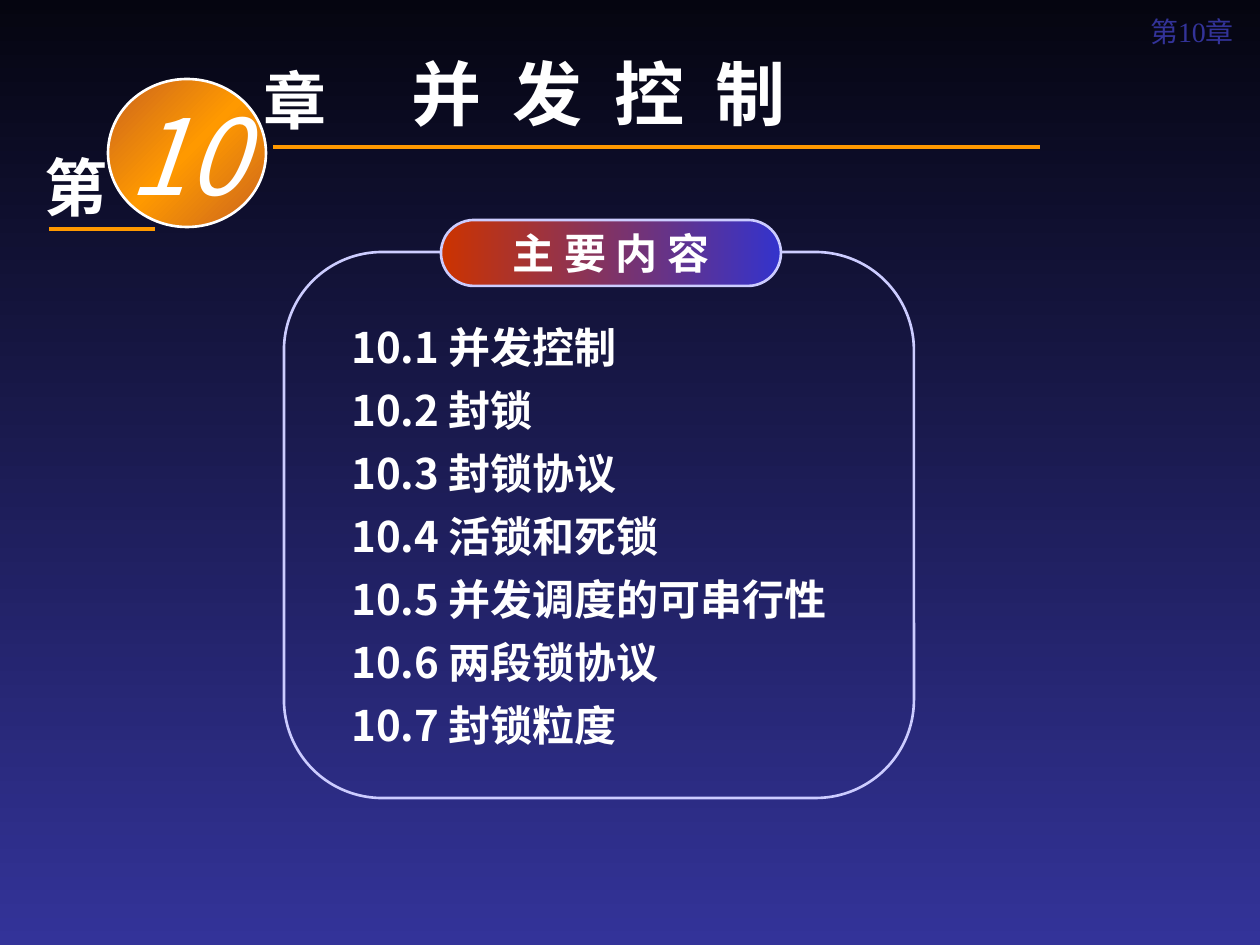
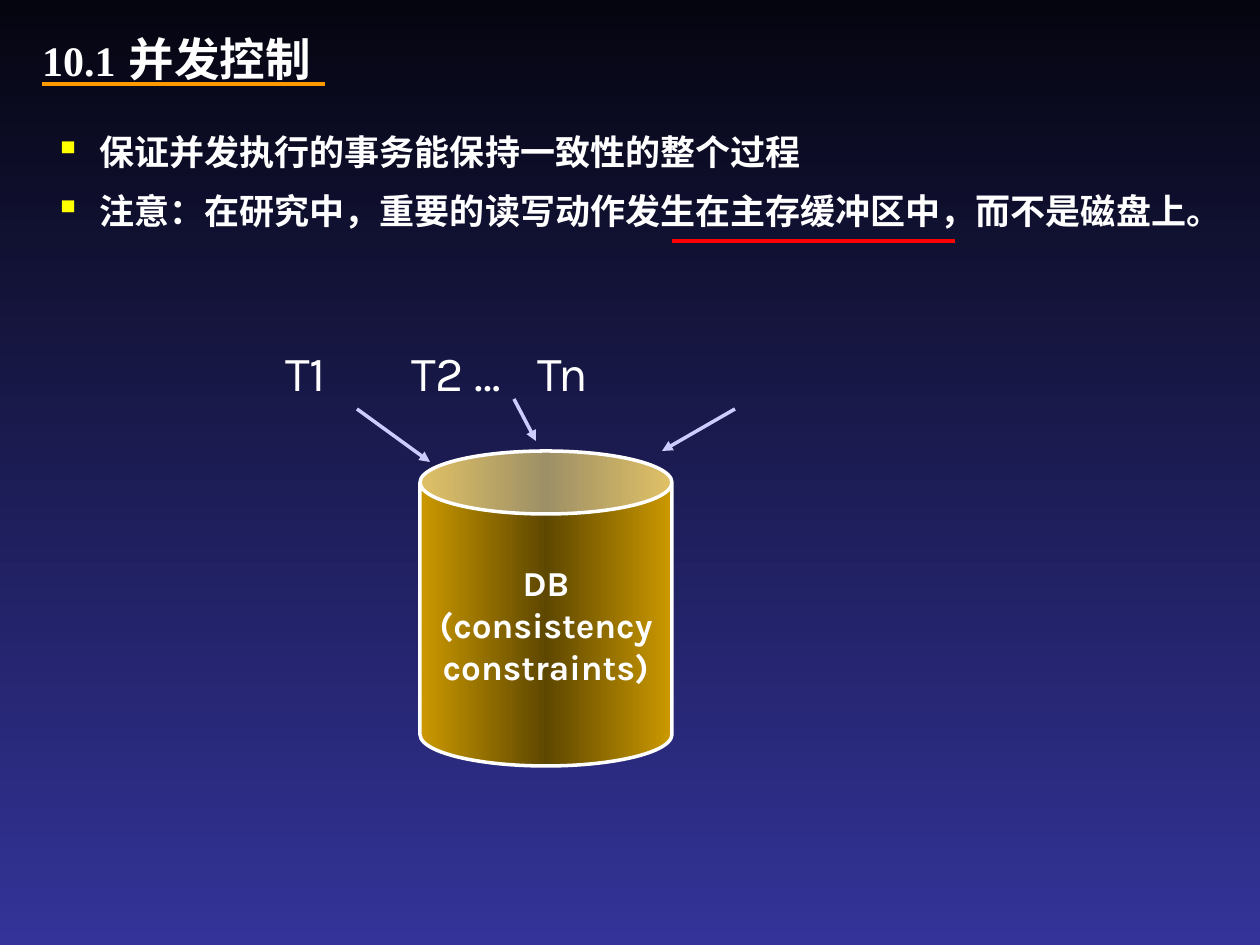
from copy import deepcopy

from lxml import etree
from pptx import Presentation
from pptx import util as u
from pptx.dml.color import RGBColor
from pptx.enum import shapes, text
from pptx.oxml.ns import qn

NIGHT = RGBColor(0x05, 0x05, 0x10)
INDIGO = RGBColor(0x33, 0x33, 0x99)
WHITE = RGBColor(0xFF, 0xFF, 0xFF)
ORANGE = RGBColor(0xFF, 0x99, 0x00)
RUST = RGBColor(0xC9, 0x64, 0x1F)
LAVENDER = RGBColor(0xCC, 0xCC, 0xFF)
BRICK = RGBColor(0xCC, 0x33, 0x00)
BLUE = RGBColor(0x33, 0x33, 0xCC)
RED = RGBColor(0xFF, 0x00, 0x00)
GOLD = RGBColor(0xCC, 0x99, 0x00)
BROWN = RGBColor(0x5E, 0x47, 0x00)
YELLOW = RGBColor(0xFF, 0xFF, 0x00)

SANS, SERIF, KARLA = "Noto Sans CJK SC", "Times New Roman", "Karla"
LEFT, CENTER, JUSTIFY = text.PP_ALIGN.LEFT, text.PP_ALIGN.CENTER, text.PP_ALIGN.JUSTIFY
PX_PER_INCH = 126
TAB_STEP = 126

SECTIONS = ["10.1 并发控制", "10.2 封锁", "10.3 封锁协议", "10.4 活锁和死锁",
            "10.5 并发调度的可串行性", "10.6 两段锁协议", "10.7 封锁粒度"]
NOTES = ["保证并发执行的事务能保持一致性的整个过程",
         "注意：在研究中，重要的读写动作发生在主存缓冲区中，而不是磁盘上。"]


def px(*lengths):
    """Turn pixel lengths into EMU."""
    return [round(length * u.Inches(1) / PX_PER_INCH) for length in lengths]


def add_child(parent, tag, **attributes):
    """Append a drawing element with the given attributes."""
    return etree.SubElement(parent, qn(tag), {k: str(v) for k, v in attributes.items()})


def paint_gradient(fill, element, clockwise, *colors):
    """Fill with evenly spaced gradient colours."""
    fill.gradient()
    fill.gradient_angle = -clockwise % 360
    stops = element.find(".//" + qn("a:gsLst"))
    while len(stops) < len(colors):
        stops.append(deepcopy(stops[-1]))
    for index, (stop, color) in enumerate(zip(fill.gradient_stops, colors)):
        stop.position = index / (len(colors) - 1)
        stop.color.rgb = color


def write(box, lines, size=24, font=SANS, color=WHITE, bold=True, italic=False,
          align=LEFT, middle=False, wrap=True, grow=False, inset=True,
          spacing=None, before=0, tracking=0):
    """Write one formatted paragraph for each line."""
    frame = box.text_frame
    frame.word_wrap = wrap
    frame.auto_size = text.MSO_AUTO_SIZE.SHAPE_TO_FIT_TEXT if grow else text.MSO_AUTO_SIZE.NONE
    frame.vertical_anchor = text.MSO_ANCHOR.MIDDLE if middle else text.MSO_ANCHOR.TOP
    frame.margin_left = frame.margin_right = u.Inches(0.1 if inset else 0)
    frame.margin_top = frame.margin_bottom = u.Inches(0.05 if inset else 0)
    for index, line in enumerate(lines):
        para = frame.add_paragraph() if index else frame.paragraphs[0]
        para.alignment = align
        if spacing:
            para.line_spacing = spacing
        if index and before:
            para.space_before = u.Pt(before)
        span = para.add_run()
        span.text = line
        span.font.size = u.Pt(size)
        span.font.name = font
        span.font.bold = bold
        span.font.italic = italic
        span.font.color.rgb = color
    for properties in box.element.iter(qn("a:rPr")):
        add_child(properties, "a:ea", typeface=SANS)
        if tracking:
            properties.set("spc", str(round(tracking * 100)))


def add_label(page, place, *lines, grow=True, **style):
    """Add a text box."""
    box = page.shapes.add_textbox(*px(*place))
    write(box, lines, grow=grow, **style)
    return box


def set_title(page, place, title, **style):
    """Move and format the title placeholder."""
    box = page.shapes.title
    box.left, box.top, box.width, box.height = px(*place)
    write(box, [title], middle=True, font=SERIF, **style)


def add_figure(page, kind, place, outline, width, adjust=None, gradient=None):
    """Add an outlined preset shape with an optional gradient."""
    figure = page.shapes.add_shape(kind, *px(*place))
    figure.shadow.inherit = False
    if adjust is not None:
        figure.adjustments[0] = adjust
    if gradient:
        paint_gradient(figure.fill, figure.element, *gradient)
    else:
        figure.fill.background()
    figure.line.color.rgb = outline
    figure.line.width = u.Pt(width)
    return figure


def add_line(page, ends, color, width, arrow=False):
    """Add a straight line, with an arrowhead at its end if asked."""
    line = page.shapes.add_connector(shapes.MSO_CONNECTOR.STRAIGHT, *px(*ends))
    line.line.color.rgb = color
    line.line.width = u.Pt(width)
    properties = line.element.spPr
    if arrow:
        add_child(properties.find(qn("a:ln")), "a:tailEnd", type="triangle")
    add_child(properties, "a:effectLst")


def add_bullets(box, indent):
    """Give every paragraph a yellow square bullet."""
    for para in box.element.iter(qn("a:p")):
        properties = para.get_or_add_pPr()
        properties.set("marL", str(px(indent)[0]))
        properties.set("indent", str(px(-indent)[0]))
        add_child(add_child(properties, "a:buClr"), "a:srgbClr", val=YELLOW)
        add_child(properties, "a:buSzPct", val=105000)
        add_child(properties, "a:buChar", char="▪")


def add_tabs(box, indent, count):
    """Indent the paragraphs and set evenly spaced tab stops."""
    for para in box.element.iter(qn("a:p")):
        properties = para.get_or_add_pPr()
        properties.set("marL", str(px(indent)[0]))
        properties.set("indent", "0")
        stops = add_child(properties, "a:tabLst")
        for index in range(count):
            add_child(stops, "a:tab", pos=px(index * TAB_STEP)[0], algn="l")


def build_chapter(page):
    """Build the chapter opening with its list of sections."""
    kinds = shapes.MSO_SHAPE
    set_title(page, (1134, 10, 116, 42), "第10章", size=16, color=INDIGO,
              bold=False, align=CENTER)
    add_label(page, (399, 44, 620, 97), "并 发 控 制", size=40, tracking=4.5)
    add_label(page, (32, 142, 82, 88), "第", size=36, font=SERIF)
    add_label(page, (251, 55, 141, 88), "章", size=36, wrap=False)
    badge = add_figure(page, kinds.OVAL, (108, 79, 158, 148), WHITE, 1.5,
                       gradient=(45, RUST, ORANGE, RUST))
    write(badge, ["10"], size=60, bold=False, italic=True, align=CENTER,
          middle=True, wrap=False)
    for ends in ((49, 229, 155, 229), (273, 147, 1040, 147)):
        add_line(page, ends, ORANGE, 2.5)
    add_figure(page, kinds.ROUNDED_RECTANGLE, (284, 252, 630, 546), LAVENDER, 1.5, 0.18)
    heading = add_figure(page, kinds.ROUNDED_RECTANGLE, (441, 220, 340, 66), LAVENDER,
                         1.5, 0.5, gradient=(0, BRICK, BLUE))
    write(heading, ["主 要 内 容"], font=SERIF, align=CENTER, middle=True, inset=False)
    for row, section in enumerate(SECTIONS):
        add_label(page, (339, 315 + 63 * row, 552, 63), section)


def build_concurrency(page):
    """Build the slide on transactions sharing one database."""
    set_title(page, (116, 21, 252, 74), "并发控制", size=26)
    add_label(page, (21, 39, 116, 42), "10.1", font=SERIF, align=CENTER,
              middle=True, grow=False)
    notes = add_label(page, (42, 116, 1218, 122), *NOTES, size=20, align=JUSTIFY,
                      spacing=1.2, before=5)
    add_bullets(notes, 45)
    add_line(page, (672, 241, 955, 241), RED, 2.25)
    database = add_figure(page, shapes.MSO_SHAPE.CAN, (420, 451, 252, 315), WHITE, 2, 0.25,
                          gradient=(0, GOLD, BROWN, GOLD))
    write(database, ["DB", "(consistency", "constraints)"], size=20, font=KARLA,
          align=CENTER, middle=True, wrap=False)
    for ends in ((357, 409, 430, 462), (514, 399, 536, 441), (735, 409, 662, 451)):
        add_line(page, ends, LAVENDER, 2, arrow=True)
    transactions = add_label(page, (210, 336, 662, 72), "T1\t\tT2\t…\tTn", size=28,
                             font=KARLA, bold=False)
    add_tabs(transactions, 63, 8)
    add_line(page, (42, 84, 325, 84), ORANGE, 2.25)


def main():
    """Build and save the deck."""
    deck = Presentation()
    deck.slide_width, deck.slide_height = px(1260, 945)
    master = deck.slide_master
    paint_gradient(master.background.fill, master.element, 90, NIGHT, INDIGO)
    for build in (build_chapter, build_concurrency):
        build(deck.slides.add_slide(deck.slide_layouts.get_by_name("Title Only")))
    deck.save("out.pptx")


if __name__ == "__main__":
    main()
